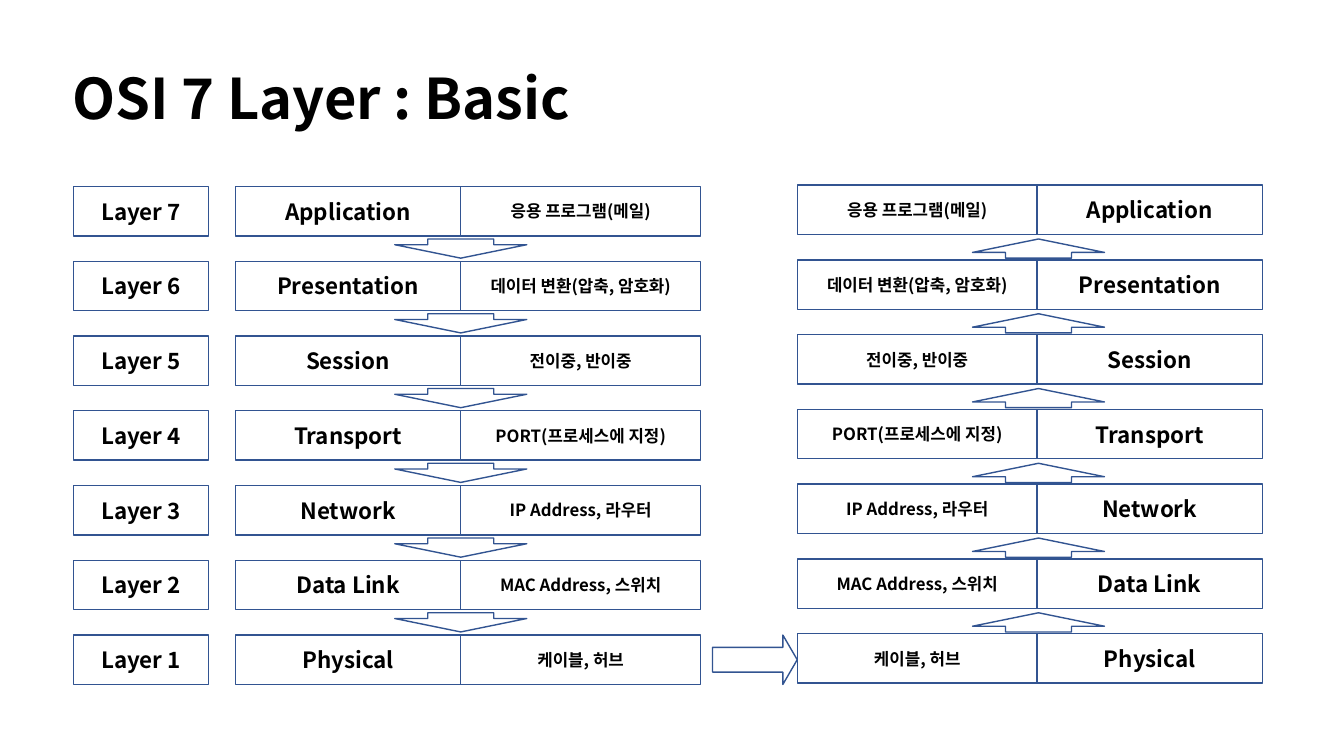
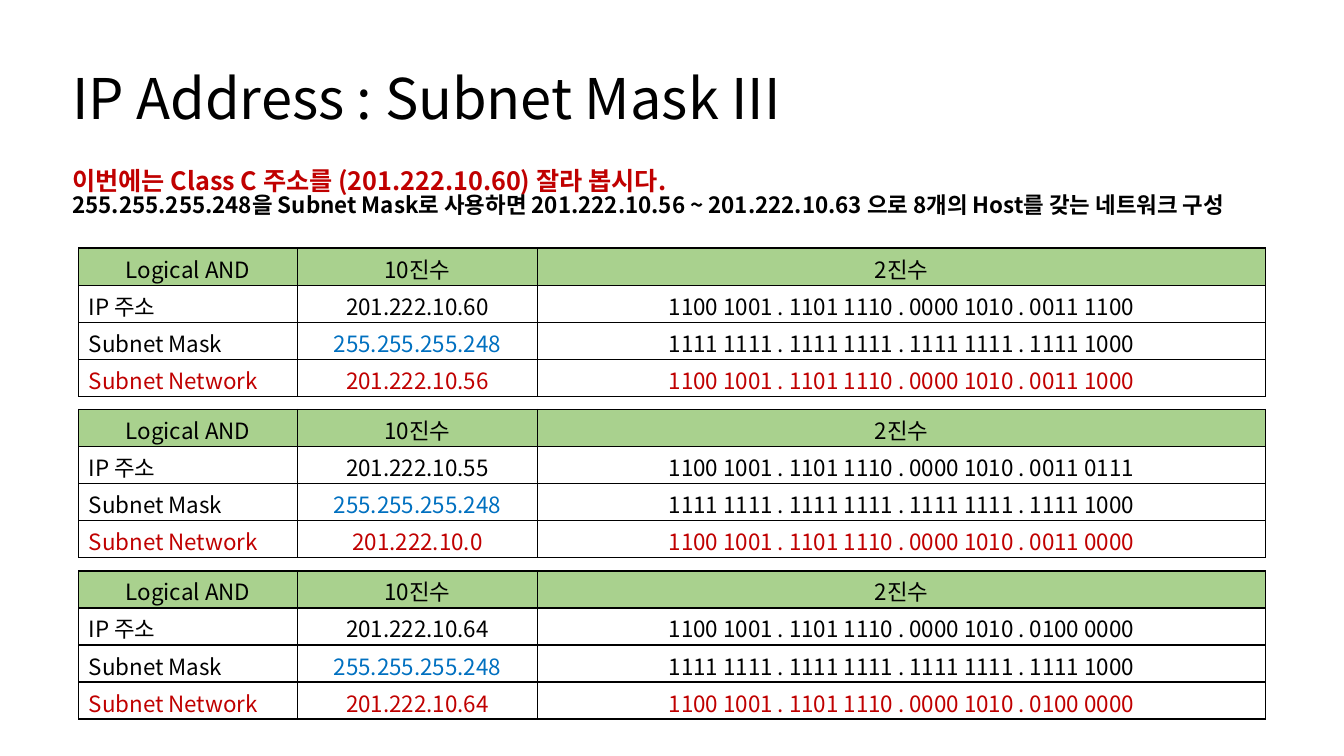
from dataclasses import dataclass
from typing import NamedTuple

from lxml.etree import SubElement
from pptx import Presentation
from pptx.dml.color import RGBColor
from pptx.enum.shapes import MSO_SHAPE as Preset
from pptx.enum.text import MSO_ANCHOR as Anchor, PP_ALIGN as Align
from pptx.oxml.ns import qn
from pptx.util import Pt


@dataclass(frozen=True)
class Theme:
    font: str = "Noto Sans CJK KR"
    ink: str = "000000"
    outline: str = "325491"
    red: str = "C00000"
    blue: str = "0070C0"
    header: str = "A9D18E"
    title_size: float = 40
    lead_size: float = 18
    body_size: float = 16
    detail_size: float = 12
    line_width: float = 1


THEME = Theme()


class Box(NamedTuple):
    left: float
    top: float
    width: float
    height: float

    def lengths(self) -> tuple:
        return tuple(Pt(value) for value in self)


class Layer(NamedTuple):
    name: str
    detail: str


class Column(NamedTuple):
    left: float
    width: float
    top: float
    texts: list
    size: float


class Subnet(NamedTuple):
    address: str
    address_bits: str
    network: str
    network_bits: str


# Content
LAYERS = [
    Layer("Application", "응용 프로그램(메일)"),
    Layer("Presentation", "데이터 변환(압축, 암호화)"),
    Layer("Session", "전이중, 반이중"),
    Layer("Transport", "PORT(프로세스에 지정)"),
    Layer("Network", "IP Address, 라우터"),
    Layer("Data Link", "MAC Address, 스위치"),
    Layer("Physical", "케이블, 허브"),
]
MASK = "255.255.255.248"
MASK_BITS = "1111 1111 . 1111 1111 . 1111 1111 . 1111 1000"
NETWORK_PREFIX = "1100 1001 . 1101 1110 . 0000 1010 . "
SUBNETS = [
    Subnet("201.222.10.60", "0011 1100", "201.222.10.56", "0011 1000"),
    Subnet("201.222.10.55", "0011 0111", "201.222.10.0", "0011 0000"),
    Subnet("201.222.10.64", "0100 0000", "201.222.10.64", "0100 0000"),
]

# Layout, in points
TEXT_LEFT, TEXT_WIDTH = 44.6, 888
LAYER_TOP, LAYER_PITCH, LAYER_HEIGHT = 133.2, 53.4, 35.3
RIGHT_TOP = LAYER_TOP - 1
NAME_WIDTH, DETAIL_WIDTH = 160.9, 171.3
LEFT_STACK, RIGHT_STACK = 168.2, 569.5
ARROW_WIDTH, ARROW_HEIGHT, ARROW_DROP = 94.3, 13.7, 37.5
TABLE_LEFT, TABLE_TOP, TABLE_PITCH = 56.2, 177.2, 115.3
TABLE_COLUMNS, TABLE_ROW = (156.3, 171.4, 520.1), 26.46


def write(paragraph, text: str, *, size: float = THEME.body_size,
          color: str = THEME.ink, bold: bool = False,
          align: Align = Align.LEFT, spacing: float = 1.0) -> None:
    paragraph.alignment = align
    paragraph.line_spacing = spacing
    run = paragraph.add_run()
    run.text = text
    font = run.font
    font.name, font.size, font.bold = THEME.font, Pt(size), bold
    font.color.rgb = RGBColor.from_string(color)
    # Korean glyphs take the East Asian typeface
    SubElement(run._r.get_or_add_rPr(), qn("a:ea"), typeface=THEME.font)


def add_text_box(slide, box: Box, anchor: Anchor = Anchor.TOP):
    frame = slide.shapes.add_textbox(*box.lengths()).text_frame
    frame.word_wrap = True
    frame.vertical_anchor = anchor
    return frame


def add_titled_slide(presentation, title: str, bold: bool = False):
    slide = presentation.slides.add_slide(presentation.slide_layouts[6])
    frame = add_text_box(slide, Box(TEXT_LEFT, 38.2, TEXT_WIDTH, 68.4), Anchor.MIDDLE)
    write(frame.paragraphs[0], title, size=THEME.title_size, bold=bold, spacing=0.9)
    return slide


def add_outline(slide, preset: Preset, box: Box, adjustments: tuple = ()):
    shape = slide.shapes.add_shape(preset, *box.lengths())
    shape.shadow.inherit = False
    shape.fill.background()
    shape.line.color.rgb = RGBColor.from_string(THEME.outline)
    shape.line.width = Pt(THEME.line_width)
    for index, value in enumerate(adjustments):
        shape.adjustments[index] = value
    return shape


def add_column(slide, column: Column) -> None:
    for index, text in enumerate(column.texts):
        top = column.top + index * LAYER_PITCH
        shape = add_outline(slide, Preset.RECTANGLE,
                            Box(column.left, top, column.width, LAYER_HEIGHT))
        frame = shape.text_frame
        frame.vertical_anchor = Anchor.MIDDLE
        write(frame.paragraphs[0], text, size=column.size, bold=True, align=Align.CENTER)


def add_stack_arrows(slide, center: float, rotation: float) -> None:
    for index in range(len(LAYERS) - 1):
        top = LAYER_TOP + ARROW_DROP + index * LAYER_PITCH
        box = Box(center - ARROW_WIDTH / 2, top, ARROW_WIDTH, ARROW_HEIGHT)
        add_outline(slide, Preset.DOWN_ARROW, box, (0.5, 0.7)).rotation = rotation


def build_layers_slide(presentation) -> None:
    slide = add_titled_slide(presentation, "OSI 7 Layer : Basic", bold=True)
    names = [layer.name for layer in LAYERS]
    details = [layer.detail for layer in LAYERS]
    numbers = [f"Layer {number}" for number in range(len(LAYERS), 0, -1)]
    left_seam = LEFT_STACK + NAME_WIDTH
    right_seam = RIGHT_STACK + DETAIL_WIDTH

    # Arrows: down the sender, across, up the receiver
    add_stack_arrows(slide, left_seam, 0)
    add_stack_arrows(slide, right_seam + 1, 180)
    physical_top = LAYER_TOP + (len(LAYERS) - 1) * LAYER_PITCH
    add_outline(slide, Preset.RIGHT_ARROW,
                Box(509, physical_top, 60.5, LAYER_HEIGHT), (0.5, 0.29))

    # Layer numbers, sender stack and receiver stack
    for column in (
        Column(52.5, 96.6, LAYER_TOP, numbers, THEME.body_size),
        Column(LEFT_STACK, NAME_WIDTH, LAYER_TOP, names, THEME.body_size),
        Column(left_seam, DETAIL_WIDTH, LAYER_TOP, details, THEME.detail_size),
        Column(RIGHT_STACK, DETAIL_WIDTH, RIGHT_TOP, details, THEME.detail_size),
        Column(right_seam, NAME_WIDTH, RIGHT_TOP, names, THEME.body_size),
    ):
        add_column(slide, column)


def style_cell(cell, fill: str | None) -> None:
    cell.margin_top, cell.margin_bottom = Pt(3), Pt(0)
    properties = cell._tc.get_or_add_tcPr()
    for side in ("a:lnL", "a:lnR", "a:lnT", "a:lnB"):
        border = SubElement(properties, qn(side), w=str(Pt(THEME.line_width)))
        solid = SubElement(border, qn("a:solidFill"))
        SubElement(solid, qn("a:srgbClr"), val=THEME.ink)
    if fill:
        cell.fill.solid()
        cell.fill.fore_color.rgb = RGBColor.from_string(fill)
    else:
        cell.fill.background()


def add_subnet_table(slide, top: float, subnet: Subnet) -> None:
    ink, red = THEME.ink, THEME.red
    rows = [
        (("Logical AND", "10진수", "2진수"), (ink, ink, ink)),
        (("IP 주소", subnet.address, NETWORK_PREFIX + subnet.address_bits), (ink, ink, ink)),
        (("Subnet Mask", MASK, MASK_BITS), (ink, THEME.blue, ink)),
        (("Subnet Network", subnet.network, NETWORK_PREFIX + subnet.network_bits),
         (red, red, red)),
    ]
    box = Box(TABLE_LEFT, top, sum(TABLE_COLUMNS), TABLE_ROW * len(rows))
    table = slide.shapes.add_table(len(rows), len(TABLE_COLUMNS), *box.lengths()).table
    table.first_row = table.horz_banding = False
    for column, width in zip(table.columns, TABLE_COLUMNS):
        column.width = Pt(width)
    for row_index, (texts, colors) in enumerate(rows):
        table.rows[row_index].height = Pt(TABLE_ROW)
        is_header = row_index == 0
        for column_index, (text, color) in enumerate(zip(texts, colors)):
            cell = table.cell(row_index, column_index)
            style_cell(cell, THEME.header if is_header else None)
            centered = is_header or column_index > 0
            write(cell.text_frame.paragraphs[0], text, color=color,
                  align=Align.CENTER if centered else Align.LEFT)


def build_subnet_slide(presentation) -> None:
    slide = add_titled_slide(presentation, "IP Address : Subnet Mask III")

    # Introduction
    frame = add_text_box(slide, Box(TEXT_LEFT, 118.1, TEXT_WIDTH, 48.2))
    write(frame.paragraphs[0], "이번에는 Class C 주소를 (201.222.10.60) 잘라 봅시다.",
          size=THEME.lead_size, color=THEME.red, bold=True, spacing=0.83)
    write(frame.add_paragraph(),
          "255.255.255.248을 Subnet Mask로 사용하면 201.222.10.56 ~ 201.222.10.63 "
          "으로 8개의 Host를 갖는 네트워크 구성", bold=True, spacing=0.83)

    # Worked examples
    for index, subnet in enumerate(SUBNETS):
        add_subnet_table(slide, TABLE_TOP + index * TABLE_PITCH, subnet)


def main() -> None:
    presentation = Presentation()
    presentation.slide_width, presentation.slide_height = Pt(960), Pt(540)
    build_layers_slide(presentation)
    build_subnet_slide(presentation)
    presentation.save("out.pptx")


if __name__ == "__main__":
    main()
